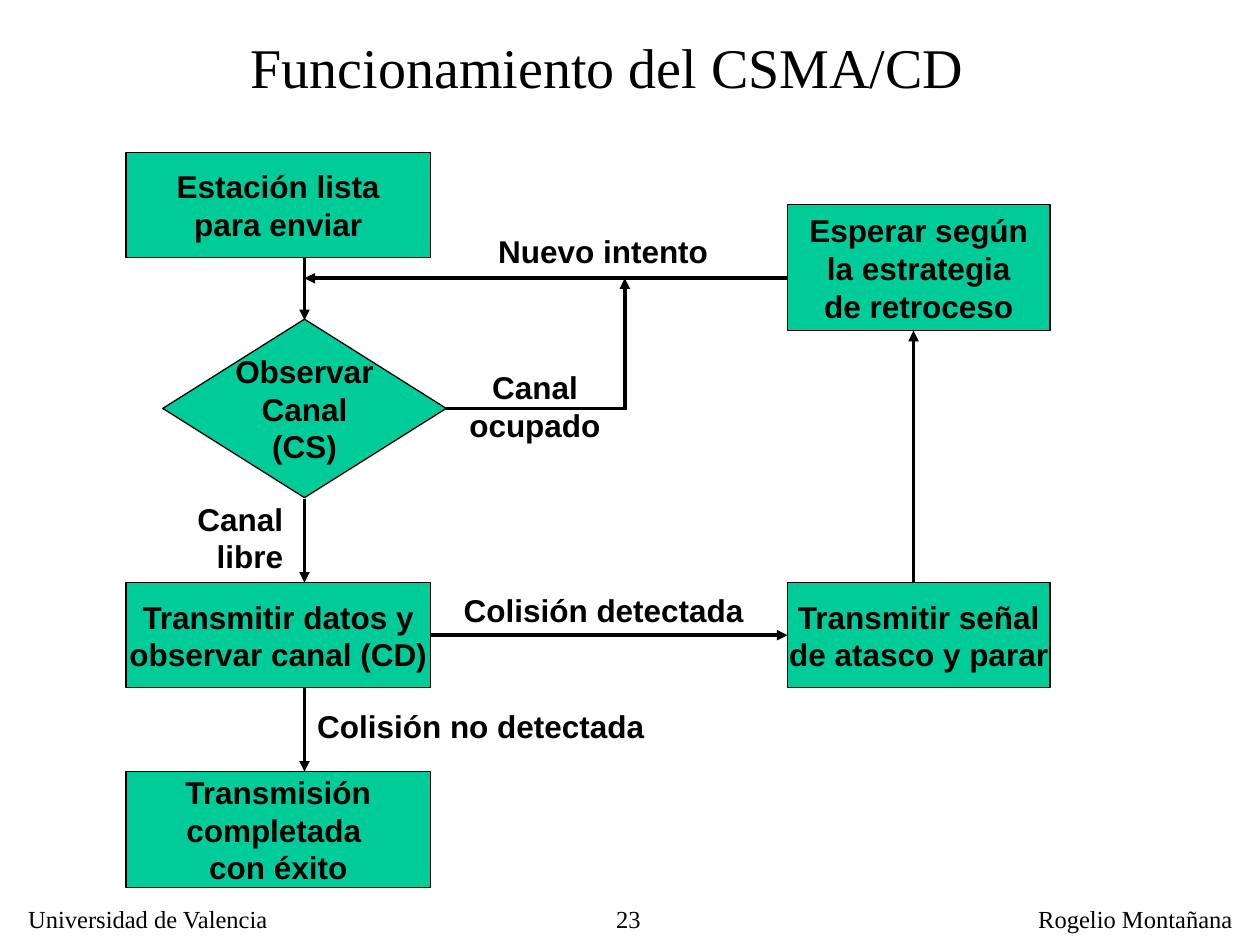
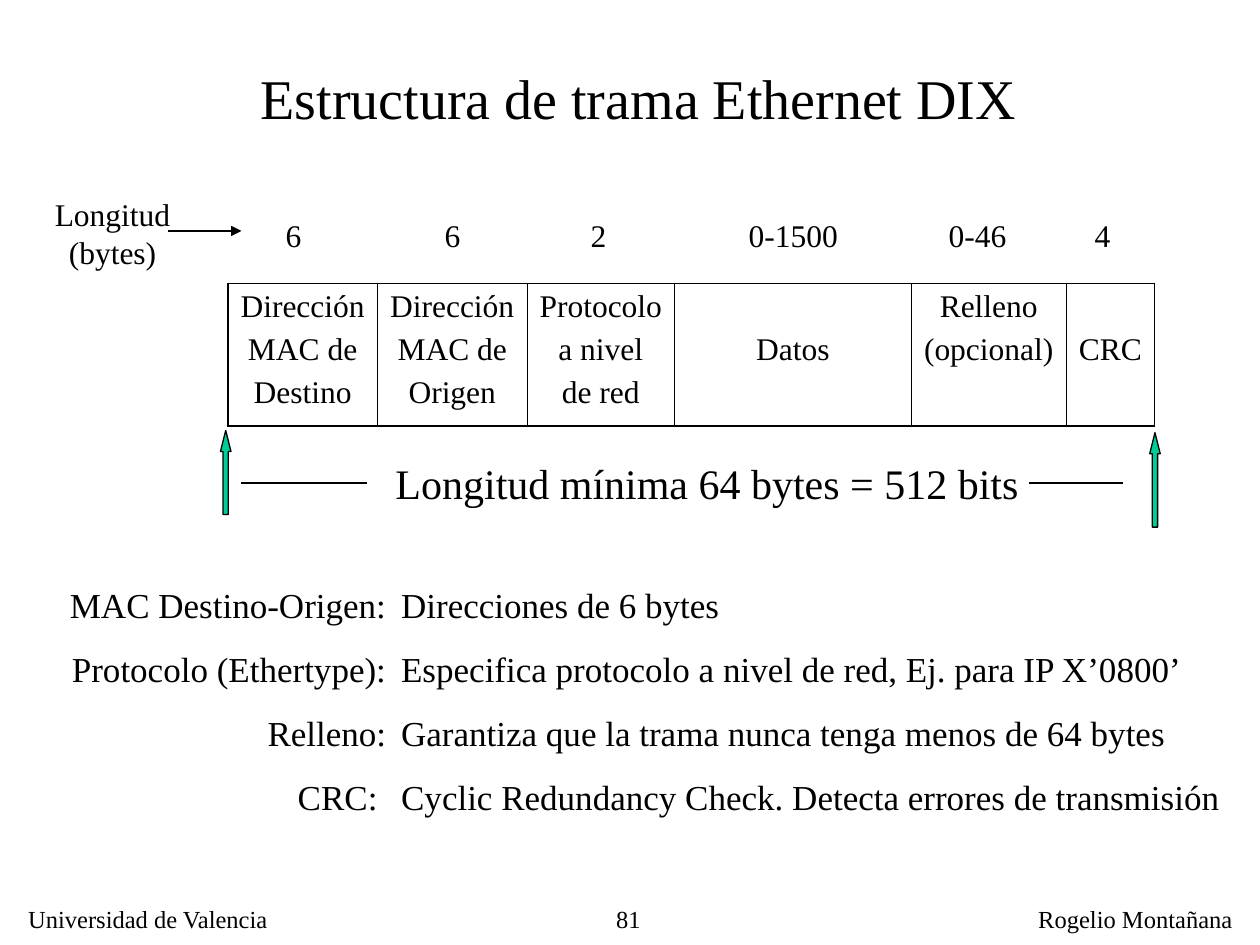
from dataclasses import dataclass
from typing import NamedTuple

from lxml.etree import SubElement
from pptx import Presentation
from pptx.dml.color import RGBColor
from pptx.enum.shapes import MSO_CONNECTOR, MSO_SHAPE
from pptx.enum.text import MSO_ANCHOR, MSO_AUTO_SIZE, PP_ALIGN
from pptx.oxml.ns import qn
from pptx.slide import Slide
from pptx.table import _Cell
from pptx.text.text import TextFrame
from pptx.util import Inches, Pt

BLACK = RGBColor(0x00, 0x00, 0x00)
GREEN = RGBColor(0x00, 0xCC, 0x99)
SLIDE_WIDTH, SLIDE_HEIGHT = Inches(10), Inches(7.5)
GRID_COLUMNS = 240
UNIT = SLIDE_WIDTH // GRID_COLUMNS
TWO_CONTENT, TITLE_ONLY = 3, 5
LEFT, CENTER, RIGHT = PP_ALIGN.LEFT, PP_ALIGN.CENTER, PP_ALIGN.RIGHT
THIN, THICK = 0.75, 2
INNER_BORDER, OUTER_BORDER = 0.45, 1.08


class Area(NamedTuple):
    left: float
    top: float
    width: float
    height: float


class TextStyle(NamedTuple):
    size: float
    font_name: str = "Times New Roman"
    bold: bool = False


class Label(NamedTuple):
    area: Area
    text: str
    alignment: PP_ALIGN = CENTER


class Line(NamedTuple):
    start: tuple[float, float]
    end: tuple[float, float]
    arrow: bool = True


class Step(NamedTuple):
    area: Area
    text: str
    preset: MSO_SHAPE = MSO_SHAPE.RECTANGLE


@dataclass
class FrameField:
    width: float
    text: str
    length: str
    length_center: float
    skipped_lines: int = 0


@dataclass
class DefinitionList:
    area: Area
    alignment: PP_ALIGN
    entries: list[str]


TITLE = TextStyle(32)
FOOTER = TextStyle(14)
STEP = TextStyle(18, "Arial", True)
FIELD = TextStyle(18)
MINIMUM = TextStyle(24)
DEFINITION = TextStyle(20)

FLOW_STEPS = [
    Step(Area(31, 60.8, 54, 34), "Observar\nCanal\n(CS)", MSO_SHAPE.DIAMOND),
    Step(Area(24, 29, 58, 20), "Estación lista\npara enviar"),
    Step(Area(24, 147, 58, 22), "Transmisión\ncompletada \ncon éxito"),
    Step(Area(24, 111, 58, 20), "Transmitir datos y\nobservar canal (CD)"),
    Step(Area(150, 111, 50, 20), "Transmitir señal\nde atasco y parar"),
    Step(Area(150, 39, 50, 24), "Esperar según\nla estrategia\nde retroceso"),
]
FLOW_LINES = [
    Line((58, 49), (58, 61)),
    Line((58, 95), (58, 111)),
    Line((150, 53), (58, 53)),
    Line((85, 77.8), (119, 77.8), arrow=False),
    Line((119, 78), (119, 53)),
    Line((174, 111), (174, 63)),
    Line((82, 121), (150, 121)),
    Line((58, 131), (58, 147)),
]
FLOW_LABELS = [
    Label(Area(86, 111.4, 58, 9.6), "Colisión detectada"),
    Label(Area(92.6, 43, 44.6, 9.6), "Nuevo intento"),
    Label(Area(87, 69, 29.8, 16.8), "Canal\nocupado"),
    Label(Area(35.3, 94, 21, 16.8), "Canal\nlibre", RIGHT),
    Label(Area(58, 133.5, 67.2, 9.6), "Colisión no detectada"),
]
FRAME_FIELDS = [
    FrameField(28.5, "Dirección\nMAC de\nDestino", "6", 55.9),
    FrameField(28.5, "Dirección\nMAC de\nOrigen", "6", 86.2),
    FrameField(28.1, "Protocolo\na nivel\nde red", "2", 114),
    FrameField(45.1, "Datos", "0-1500", 151.1, skipped_lines=1),
    FrameField(29.5, "Relleno\n(opcional)", "0-46", 186.2),
    FrameField(16.8, "CRC", "4", 210, skipped_lines=1),
]
FRAME_LINES = [
    Line((46, 92), (70, 92), arrow=False),
    Line((196, 92), (214, 92), arrow=False),
    Line((32, 44), (46, 44)),
]
BOUNDARY_ARROWS = [Area(42, 82, 2, 16), Area(219, 82.4, 2, 18)]
DEFINITIONS = [
    DefinitionList(Area(6, 110, 70, 47), RIGHT, [
        "MAC Destino-Origen:",
        "Protocolo (Ethertype):",
        "Relleno:",
        "CRC: ",
    ]),
    DefinitionList(Area(74, 110, 164, 47), LEFT, [
        "Direcciones de 6 bytes",
        "Especifica protocolo a nivel de red, Ej. para IP X’0800’",
        "Garantiza que la trama nunca tenga menos de 64 bytes",
        "Cyclic Redundancy Check. Detecta errores de transmisión",
    ]),
]


def grid(*lengths: float) -> list[int]:
    return [round(length * UNIT) for length in lengths]


def write_lines(frame: TextFrame, text: str, style: TextStyle, alignment: PP_ALIGN,
                space_before: float = 0) -> None:
    frame.text = text
    for paragraph in frame.paragraphs:
        paragraph.alignment = alignment
        paragraph.space_before = Pt(space_before)
        paragraph.line_spacing = 1.0
        properties = paragraph._p.get_or_add_pPr()
        properties.set("marL", "0")
        properties.set("indent", "0")
        SubElement(properties, qn("a:buNone"))
        paragraph.font.size = Pt(style.size)
        paragraph.font.name = style.font_name
        paragraph.font.bold = style.bold
        paragraph.font.color.rgb = BLACK


def free_side_margins(frame: TextFrame, alignment: PP_ALIGN) -> None:
    if alignment != LEFT:
        frame.margin_left = 0
    if alignment != RIGHT:
        frame.margin_right = 0


def add_label(slide: Slide, label: Label, style: TextStyle) -> None:
    frame = slide.shapes.add_textbox(*grid(*label.area)).text_frame
    frame.word_wrap = False
    free_side_margins(frame, label.alignment)
    write_lines(frame, label.text, style, label.alignment)


def fill_placeholder(placeholder, area: Area, text: str, style: TextStyle,
                     alignment: PP_ALIGN, space_before: float = 0) -> None:
    placeholder.left, placeholder.top, placeholder.width, placeholder.height = grid(*area)
    frame = placeholder.text_frame
    frame.auto_size = MSO_AUTO_SIZE.NONE
    frame.vertical_anchor = MSO_ANCHOR.TOP
    free_side_margins(frame, alignment)
    write_lines(frame, text, style, alignment, space_before)


def add_preset(slide: Slide, preset: MSO_SHAPE, area: Area):
    shape = slide.shapes.add_shape(preset, *grid(*area))
    shape.shadow.inherit = False
    shape.fill.solid()
    shape.fill.fore_color.rgb = GREEN
    shape.line.color.rgb = BLACK
    shape.line.width = Pt(THIN)
    return shape


def add_step(slide: Slide, step: Step) -> None:
    frame = add_preset(slide, step.preset, step.area).text_frame
    frame.word_wrap = False
    frame.vertical_anchor = MSO_ANCHOR.MIDDLE
    write_lines(frame, step.text, STEP, CENTER)


def add_line(slide: Slide, line: Line, width: float) -> None:
    connector = slide.shapes.add_connector(
        MSO_CONNECTOR.STRAIGHT, *grid(*line.start, *line.end))
    connector.line.color.rgb = BLACK
    connector.line.width = Pt(width)
    if line.arrow:
        SubElement(connector.line._get_or_add_ln(), qn("a:tailEnd"), type="triangle")
    SubElement(connector._element.spPr, qn("a:effectLst"))


def set_borders(cell: _Cell, first: bool, last: bool) -> None:
    properties = cell._tc.get_or_add_tcPr()
    outer_sides = {"lnL": first, "lnR": last, "lnT": True, "lnB": True}
    for position, (side, outer) in enumerate(outer_sides.items()):
        width = Pt(OUTER_BORDER if outer else INNER_BORDER)
        border = SubElement(properties, qn(f"a:{side}"), w=str(width))
        fill = SubElement(border, qn("a:solidFill"))
        SubElement(fill, qn("a:srgbClr"), val=str(BLACK))
        properties.insert(position, border)


def add_frame_table(slide: Slide, left: float, top: float, height: float) -> None:
    width = sum(field.width for field in FRAME_FIELDS)
    table = slide.shapes.add_table(
        1, len(FRAME_FIELDS), *grid(left, top, width, height)).table
    table.first_row = table.horz_banding = False
    for index, field in enumerate(FRAME_FIELDS):
        table.columns[index].width = grid(field.width)[0]
        cell = table.cell(0, index)
        cell.fill.background()
        cell.margin_left = cell.margin_right = Inches(0.05)
        cell.margin_top = Inches(0.05 + 0.34 * field.skipped_lines)
        write_lines(cell.text_frame, field.text, FIELD, CENTER, 4.5)
        set_borders(cell, index == 0, index == len(FRAME_FIELDS) - 1)


def start_slide(presentation, layout: int, title: str, title_area: Area,
                number: int) -> Slide:
    slide = presentation.slides.add_slide(presentation.slide_layouts[layout])
    fill_placeholder(slide.shapes.title, title_area, title, TITLE, CENTER)
    for label in (
        Label(Area(99, 171, 25.4, 7.4), str(number), RIGHT),
        Label(Area(3, 171, 51, 8), "Universidad de Valencia", LEFT),
        Label(Area(195.4, 171, 41.8, 8), "Rogelio Montañana", LEFT),
    ):
        add_label(slide, label, FOOTER)
    return slide


def build_flow_slide(presentation) -> None:
    slide = start_slide(presentation, TITLE_ONLY, "Funcionamiento del CSMA/CD",
                        Area(45.4, 5, 140.6, 15.4), 23)
    for step in FLOW_STEPS:
        add_step(slide, step)
    for line in FLOW_LINES:
        add_line(slide, line, THICK)
    for label in FLOW_LABELS:
        add_label(slide, label, STEP)


def build_frame_slide(presentation) -> None:
    slide = start_slide(presentation, TWO_CONTENT, "Estructura de trama Ethernet DIX",
                        Area(47.3, 10.8, 148.8, 15.4), 81)
    add_frame_table(slide, 43.4, 54, 27.1)
    for field in FRAME_FIELDS:
        area = Area(field.length_center - 11, 40, 22, 9.6)
        add_label(slide, Label(area, field.length), FIELD)
    for area in BOUNDARY_ARROWS:
        arrow = add_preset(slide, MSO_SHAPE.UP_ARROW, area)
        arrow.adjustments[1] = 2
    minimum = Label(Area(73, 86, 123.4, 12), "Longitud mínima 64 bytes = 512 bits")
    add_label(slide, minimum, MINIMUM)
    add_label(slide, Label(Area(8.1, 36, 26.7, 16.8), "Longitud\n(bytes)"), FIELD)
    for line in FRAME_LINES:
        add_line(slide, line, THIN)
    for index, definitions in enumerate(DEFINITIONS, start=1):
        fill_placeholder(slide.placeholders[index], definitions.area,
                         "\n".join(definitions.entries), DEFINITION,
                         definitions.alignment, 12.5)


def main() -> None:
    presentation = Presentation()
    presentation.slide_width, presentation.slide_height = SLIDE_WIDTH, SLIDE_HEIGHT
    build_flow_slide(presentation)
    build_frame_slide(presentation)
    presentation.save("out.pptx")


if __name__ == "__main__":
    main()
